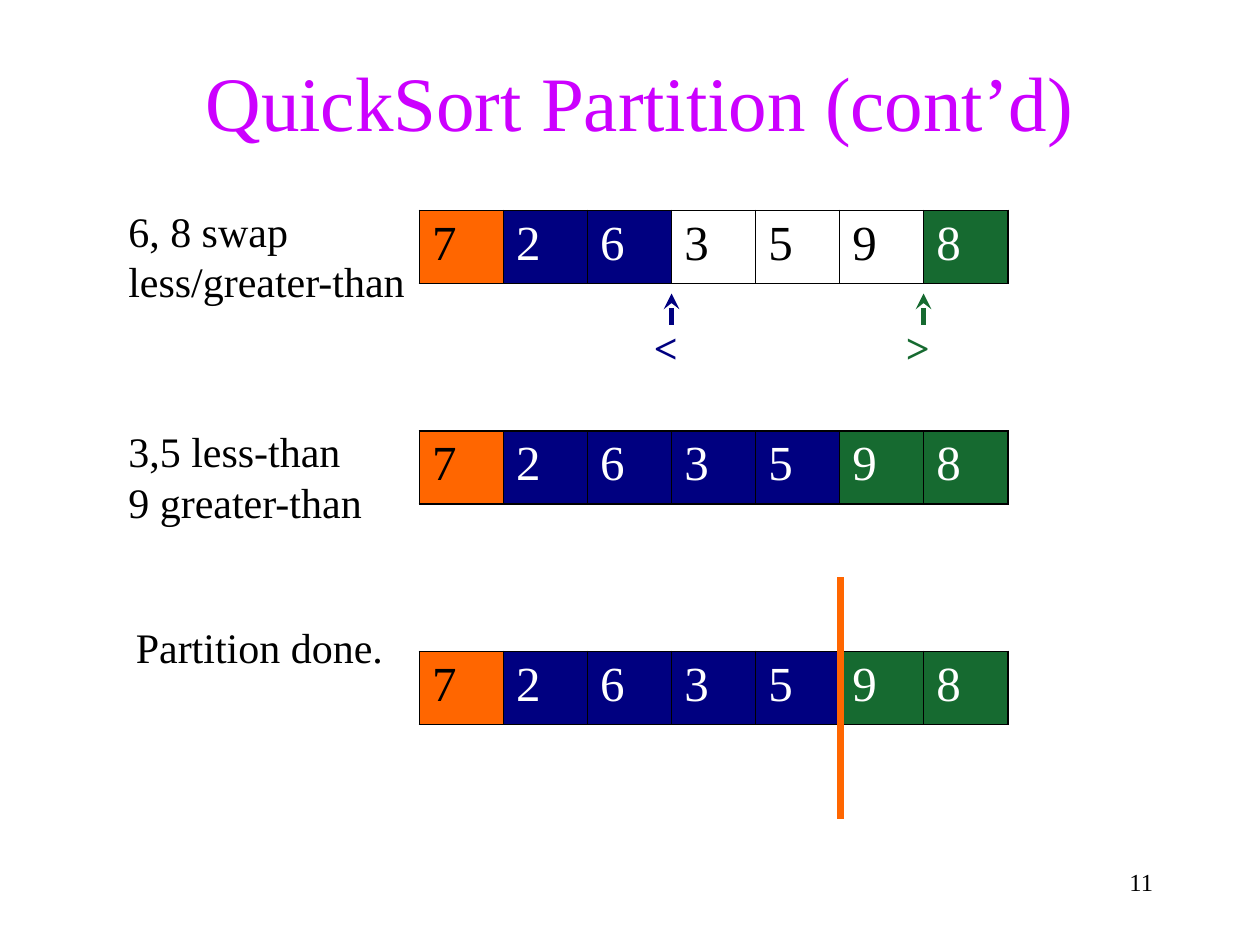
"""Build the slide on the last steps of a QuickSort partition."""
from typing import NamedTuple

from pptx import Presentation
from pptx.dml.color import RGBColor
from pptx.enum.shapes import MSO_CONNECTOR
from pptx.enum.text import MSO_ANCHOR, PP_ALIGN
from pptx.oxml.ns import qn
from pptx.util import Inches, Pt
from lxml import etree

STRAIGHT = MSO_CONNECTOR.STRAIGHT
TOP, MIDDLE = MSO_ANCHOR.TOP, MSO_ANCHOR.MIDDLE
LEFT, CENTER, RIGHT = PP_ALIGN.LEFT, PP_ALIGN.CENTER, PP_ALIGN.RIGHT
FONT = "Times New Roman"
COLORS = {"title": "CC00FF", "pivot": "FF6600", "less": "000080",
          "more": "166A30", "black": "000000", "white": "FFFFFF"}
KINDS = {"P": "pivot", "L": "less", "M": "more"}
DIGITS = "7263598"
GRID_X, CELL_W, CELL_H = 3.33, 4.67 / 7, 0.58


class Step(NamedTuple):
    top: float
    marks: str


class Label(NamedTuple):
    box: tuple
    lines: list
    wrap: bool = False
    size: int = 24
    color: str = "black"
    bold: bool = False
    align: PP_ALIGN = LEFT
    anchor: MSO_ANCHOR = TOP


class Line(NamedTuple):
    x: float
    top: float
    end: float
    color: str
    width: float
    arrow: bool = False


STEPS = [Step(1.67, "PLL---M"), Step(3.42, "PLLLLMM"), Step(5.17, "PLLLLMM")]
LINES = [Line(5.33, 2.33, 2.58, "less", 3, True),
         Line(7.33, 2.33, 2.58, "more", 3, True),
         Line(6.67, 4.58, 6.5, "pivot", 4)]
LABELS = [
    Label((0.83, 0.17, 8.5, 1.25), ["QuickSort Partition (cont’d)"], wrap=True,
          size=44, color="title", align=CENTER, anchor=MIDDLE),
    Label((0.92, 1.58, 2.4, 0.9), ["6, 8 swap", "less/greater-than"]),
    Label((5.09, 2.5, 0.39, 0.5), ["<"], color="less", bold=True),
    Label((7.09, 2.5, 0.39, 0.5), [">"], color="more", bold=True),
    Label((0.92, 3.33, 2.06, 0.9), ["3,5 less-than", "9 greater-than"]),
    Label((0.98, 4.88, 2.16, 0.5), ["Partition done."]),
    Label((7.17, 6.83, 2.08, 0.5), ["11"], wrap=True, size=14, align=RIGHT),
]


def paint(name: str) -> RGBColor:
    """Return the named colour."""
    return RGBColor.from_string(COLORS[name])


def write(frame, lines: list, *, size: int, color: str = "black",
          bold: bool = False, align: PP_ALIGN = LEFT) -> None:
    """Fill a text frame with one paragraph per line."""
    for i, line in enumerate(lines):
        para = frame.add_paragraph() if i else frame.paragraphs[0]
        para.alignment = align
        run = para.add_run()
        run.text = line
        font = run.font
        font.name, font.size, font.bold = FONT, Pt(size), bold
        font.color.rgb = paint(color)


def add_label(slide, label: Label) -> None:
    """Draw one text box."""
    frame = slide.shapes.add_textbox(*map(Inches, label.box)).text_frame
    frame.word_wrap = label.wrap
    frame.vertical_anchor = label.anchor
    write(frame, label.lines, size=label.size, color=label.color,
          bold=label.bold, align=label.align)


def add_edge(cell, side: str, width: float) -> None:
    """Give one side of a cell a black border."""
    props = cell._tc.get_or_add_tcPr()
    edge = etree.SubElement(props, qn(f"a:ln{side}"), w=str(Pt(width)))
    fill = etree.SubElement(edge, qn("a:solidFill"))
    etree.SubElement(fill, qn("a:srgbClr"), val=COLORS["black"])


def add_step(slide, step: Step) -> None:
    """Draw the array at one step as a table."""
    count = len(DIGITS)
    box = (GRID_X, step.top, CELL_W * count, CELL_H)
    table = slide.shapes.add_table(1, count, *map(Inches, box)).table
    table.first_row = table.horz_banding = False
    for i, (digit, mark) in enumerate(zip(DIGITS, step.marks)):
        table.columns[i].width = Inches(CELL_W)
        cell = table.cell(0, i)
        outer = {"L": i == 0, "R": i == count - 1, "T": True, "B": True}
        for side, thick in outer.items():
            add_edge(cell, side, 1.08 if thick else 0.45)
        if mark in KINDS:
            cell.fill.solid()
            cell.fill.fore_color.rgb = paint(KINDS[mark])
        else:
            cell.fill.background()
        write(cell.text_frame, [digit], size=28,
              color="white" if mark in "LM" else "black")


def add_line(slide, line: Line) -> None:
    """Draw an upright line, with an arrowhead on top if asked."""
    ends = (line.x, line.top, line.x, line.end)
    shape = slide.shapes.add_connector(STRAIGHT, *map(Inches, ends))
    shape.line.color.rgb = paint(line.color)
    shape.line.width = Pt(line.width)
    if line.arrow:
        etree.SubElement(shape.line._get_or_add_ln(), qn("a:headEnd"),
                         type="stealth")
    etree.SubElement(shape._element.spPr, qn("a:effectLst"))


def main() -> None:
    """Build and save the slide."""
    deck = Presentation()
    deck.slide_width, deck.slide_height = Inches(10), Inches(7.5)
    slide = deck.slides.add_slide(deck.slide_layouts[6])
    for draw, items in ((add_step, STEPS), (add_line, LINES),
                        (add_label, LABELS)):
        for item in items:
            draw(slide, item)
    deck.save("out.pptx")


if __name__ == "__main__":
    main()
